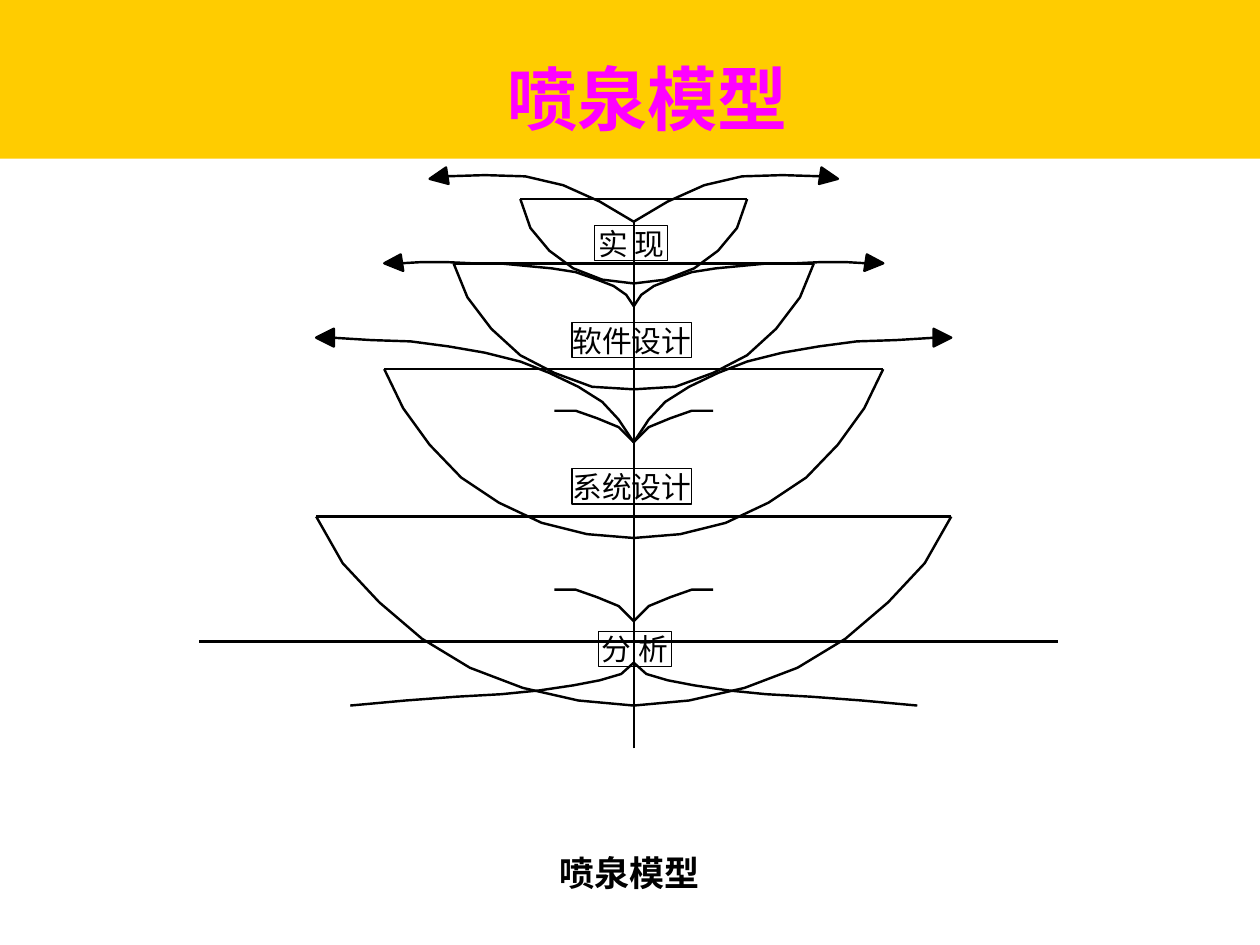
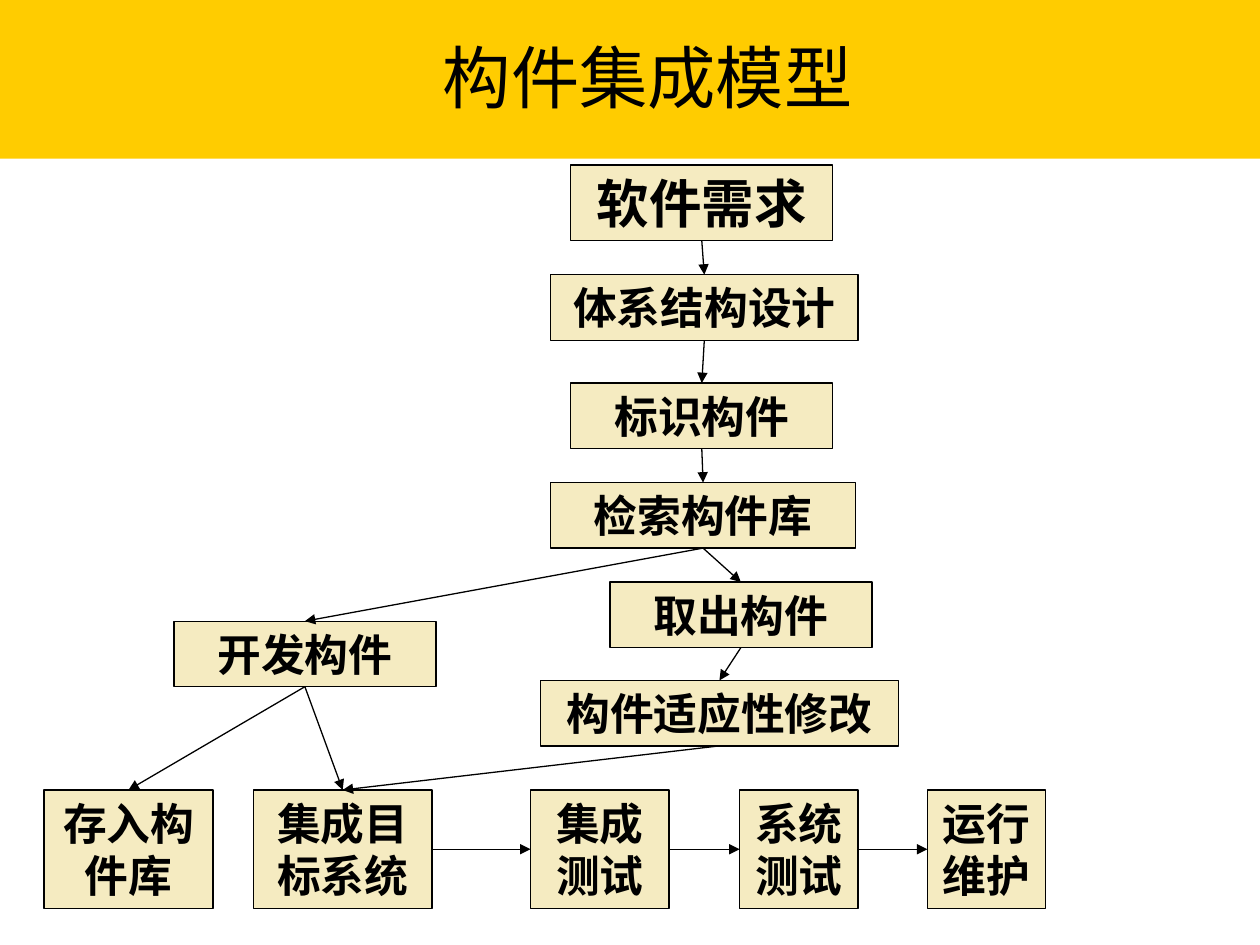
from pptx import Presentation
from pptx.dml.color import RGBColor
from pptx.enum.shapes import MSO_CONNECTOR, MSO_SHAPE
from pptx.enum.text import MSO_ANCHOR, PP_ALIGN
from pptx.oxml.ns import qn
from pptx.oxml.xmlchemy import OxmlElement
from pptx.util import Inches, Pt

GOLD = RGBColor(0xFF, 0xCC, 0x00)
CREAM = RGBColor(0xF5, 0xEB, 0xC1)
MAGENTA = RGBColor(0xFF, 0x00, 0xFF)
BLACK = RGBColor(0x00, 0x00, 0x00)
CJK = "Noto Sans CJK SC"
LATIN = "Times New Roman"
TOP, LEFT, BOTTOM, RIGHT = range(4)
AXIS = 5.03

BOWLS = [
    [(0, 2.25), (0.25, 2.22), (0.48, 2.13), (0.67, 1.99), (0.82, 1.81), (0.9, 1.58)],
    [(0, 3.09), (0.33, 3.07), (0.63, 2.96), (0.9, 2.82), (1.13, 2.61), (1.32, 2.36),
     (1.43, 2.09)],
    [(0, 4.27), (0.37, 4.24), (0.73, 4.15), (1.07, 3.99), (1.37, 3.79), (1.62, 3.53),
     (1.83, 3.24), (1.98, 2.93)],
    [(0, 5.6), (0.44, 5.56), (0.88, 5.46), (1.3, 5.3), (1.68, 5.07), (2.02, 4.78),
     (2.31, 4.47), (2.52, 4.1)],
]
SPRAY = [(0, 0), (0.12, -0.12), (0.29, -0.19), (0.46, -0.25), (0.63, -0.25)]
JETS = [
    [(0, 1.76), (0.27, 1.6), (0.56, 1.47), (0.86, 1.4), (1.18, 1.39), (1.5, 1.4)],
    [(0, 2.43), (0.06, 2.34), (0.16, 2.27), (0.29, 2.22), (0.46, 2.16), (0.65, 2.13),
     (0.86, 2.11), (1.07, 2.09), (1.28, 2.09), (1.49, 2.08), (1.68, 2.08), (1.85, 2.09)],
    [(0, 3.51), (0.12, 3.33), (0.25, 3.19), (0.44, 3.07), (0.67, 2.96), (0.9, 2.87),
     (1.18, 2.8), (1.47, 2.75), (1.77, 2.71), (2.08, 2.7), (2.4, 2.68)],
    [(0, 5.26), (0.1, 5.35), (0.27, 5.4), (0.48, 5.44), (0.75, 5.48), (1.05, 5.51),
     (1.41, 5.53), (1.81, 5.56), (2.25, 5.6)],
] + [[(dx, y + dy) for dx, dy in SPRAY] for y in (3.51, 4.93)]
JET_TIPS = [
    [(1.47, 1.46), (1.62, 1.42), (1.49, 1.33)],
    [(1.83, 2.15), (1.98, 2.09), (1.85, 2.02)],
    [(2.38, 2.75), (2.52, 2.68), (2.38, 2.61)],
]
PHASES = [
    ("实 现", 4.72, 1.79, 0.58),
    ("软件设计", 4.54, 2.56, 0.95),
    ("系统设计", 4.54, 3.72, 0.95),
    ("分 析", 4.75, 5.01, 0.58),
]

STEPS = [
    ("软件需求", 4.53, 1.31, 2.08, 0.6, 30),
    ("体系结构设计", 4.37, 2.18, 2.44, 0.52, 25),
    ("标识构件", 4.53, 3.04, 2.08, 0.52, 25),
    ("检索构件库", 4.37, 3.83, 2.42, 0.52, 25),
    ("取出构件", 4.84, 4.62, 2.08, 0.52, 25),
    ("开发构件", 1.38, 4.93, 2.08, 0.52, 25),
    ("构件适应性修改", 4.29, 5.4, 2.84, 0.52, 25),
]
FINAL_STEPS = [
    ("存入构件库", 0.35, 1.34),
    ("集成目标系统", 2.01, 1.42),
    ("集成测试", 4.21, 1.1),
    ("系统测试", 5.87, 0.94),
    ("运行维护", 7.36, 0.94),
]
DOWN_LINKS = [
    ("软件需求", "体系结构设计"),
    ("体系结构设计", "标识构件"),
    ("标识构件", "检索构件库"),
    ("检索构件库", "开发构件"),
    ("检索构件库", "取出构件"),
    ("取出构件", "构件适应性修改"),
    ("开发构件", "存入构件库"),
    ("开发构件", "集成目标系统"),
    ("构件适应性修改", "集成目标系统"),
]


class Deck:
    def __init__(self):
        self.prs = Presentation()
        self.prs.slide_width = Inches(10)
        self.prs.slide_height = Inches(7.5)
        self.s = None

    def slide(self, title, top, height, **style):
        self.s = self.prs.slides.add_slide(self.prs.slide_layouts[6])
        band = self.rect(0, 0, 10, 1.26, GOLD)
        band.line.fill.background()
        self.text(title, 1.21, top, 7.86, height, **style)

    def rect(self, x, y, w, h, fill):
        sp = self.s.shapes.add_shape(
            MSO_SHAPE.RECTANGLE, Inches(x), Inches(y), Inches(w), Inches(h))
        sp.shadow.inherit = False
        sp.fill.solid()
        sp.fill.fore_color.rgb = fill
        return sp

    def outline(self, sp, width):
        sp.line.color.rgb = BLACK
        sp.line.width = Pt(width)

    def set_text(self, sp, text, size, font=LATIN, color=BLACK, bold=False,
                 margin=(0.1, 0.05), wrap=True, spacing=None):
        tf = sp.text_frame
        mx, my = (Inches(m) for m in margin)
        frame = {"margin_left": mx, "margin_right": mx, "margin_top": my,
                 "margin_bottom": my, "word_wrap": wrap,
                 "vertical_anchor": MSO_ANCHOR.MIDDLE}
        for key, value in frame.items():
            setattr(tf, key, value)
        p = tf.paragraphs[0]
        p.alignment = PP_ALIGN.CENTER
        if spacing:
            p.line_spacing = Pt(spacing)
        r = p.add_run()
        r.text = text
        for key, value in {"size": Pt(size), "bold": bold, "name": font}.items():
            setattr(r.font, key, value)
        r.font.color.rgb = color
        ea = OxmlElement("a:ea")
        ea.set("typeface", CJK)
        r.font._element.append(ea)

    def text(self, text, x, y, w, h, **style):
        sp = self.s.shapes.add_textbox(Inches(x), Inches(y), Inches(w), Inches(h))
        self.set_text(sp, text, **style)
        return sp

    def label(self, text, x, y, w):
        sp = self.text(text, x, y, w, 0.28, size=17, font=CJK, margin=(0, 0), wrap=False)
        self.outline(sp, 0.75)

    def step(self, text, x, y, w, h, size, spacing=None):
        sp = self.rect(x, y, w, h, CREAM)
        self.outline(sp, 0.75)
        self.set_text(sp, text, size, bold=True, spacing=spacing)
        return sp

    def line(self, x1, y1, x2, y2, width=1.39):
        c = self.s.shapes.add_connector(
            MSO_CONNECTOR.STRAIGHT, Inches(x1), Inches(y1), Inches(x2), Inches(y2))
        self.outline(c, width)
        c._element.spPr.append(OxmlElement("a:effectLst"))
        return c

    def arrow(self, start, start_side, end, end_side):
        c = self.line(0, 0, 1, 1, 0.75)
        c.begin_connect(start, start_side)
        c.end_connect(end, end_side)
        tail = OxmlElement("a:tailEnd")
        tail.set("type", "triangle")
        c._element.spPr.find(qn("a:ln")).append(tail)

    def curve(self, points, solid=False):
        (x, y), *rest = [(Inches(AXIS + dx), Inches(y)) for dx, y in points]
        builder = self.s.shapes.build_freeform(x, y)
        builder.add_line_segments(rest, close=solid)
        sp = builder.convert_to_shape()
        sp.shadow.inherit = False
        if solid:
            sp.fill.solid()
            sp.fill.fore_color.rgb = BLACK
        else:
            sp.fill.background()
        self.outline(sp, 1.39)

    def mirrored_pair(self, points, solid=False):
        self.curve(points, solid)
        self.curve(mirror(points), solid)


def mirror(points):
    return [(-dx, y) for dx, y in points]


def fountain(deck):
    deck.slide("喷泉模型", 0.29, 0.96, size=40, font=CJK, color=MAGENTA, bold=True)
    deck.text("喷泉模型", 2.21, 6.51, 5.58, 0.83, size=20, font=CJK, bold=True)
    for half in BOWLS:
        deck.curve(mirror(half)[:0:-1] + half)
        rim, y = half[-1]
        deck.line(AXIS - rim, y, AXIS + rim, y)
    deck.line(1.58, 5.09, 8.4, 5.09)
    deck.line(AXIS, 5.94, AXIS, 1.76)
    for jet in JETS:
        deck.mirrored_pair(jet)
    for tip in JET_TIPS:
        deck.mirrored_pair(tip, solid=True)
    for phase in PHASES:
        deck.label(*phase)


def component_integration(deck):
    deck.slide("构件集成模型", 0.21, 0.79, size=39)
    boxes = {step[0]: deck.step(*step) for step in STEPS}
    for name, x, w in FINAL_STEPS:
        boxes[name] = deck.step(name, x, 6.27, w, 0.94, 25, spacing=30)
    for start, end in DOWN_LINKS:
        deck.arrow(boxes[start], BOTTOM, boxes[end], TOP)
    row = [boxes[name] for name, *_ in FINAL_STEPS[1:]]
    for start, end in zip(row, row[1:]):
        deck.arrow(start, RIGHT, end, LEFT)


def main():
    deck = Deck()
    fountain(deck)
    component_integration(deck)
    deck.prs.save("out.pptx")


if __name__ == "__main__":
    main()
